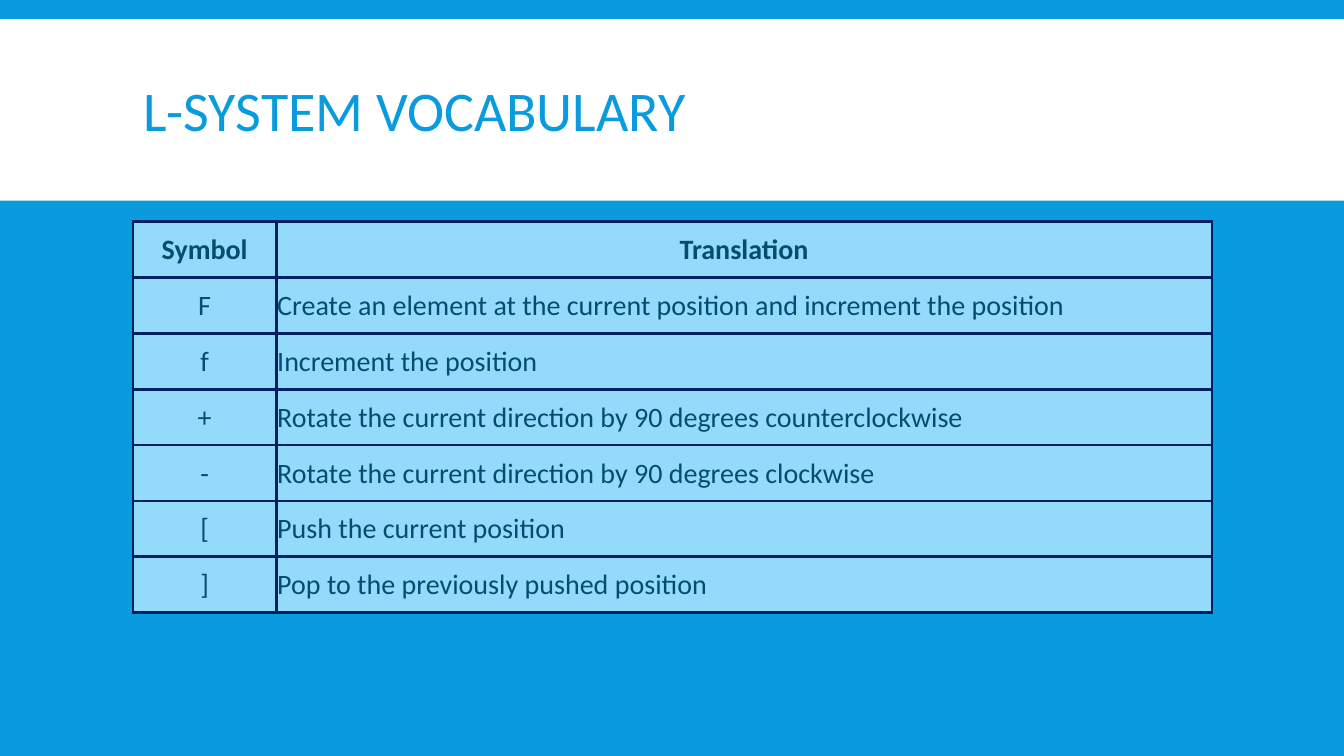
import dataclasses

import lxml.etree
import pptx
import pptx.dml.color
import pptx.enum.shapes
import pptx.enum.text
import pptx.oxml.ns
import pptx.util

# Content
TITLE = "L-SYSTEM VOCABULARY"
VOCABULARY = [
    ("Symbol", "Translation"),
    ("F", "Create an element at the current position and increment the position"),
    ("f", "Increment the position"),
    ("+", "Rotate the current direction by 90 degrees counterclockwise"),
    ("-", "Rotate the current direction by 90 degrees clockwise"),
    ("[", "Push the current position"),
    ("]", "Pop to the previously pushed position"),
]


@dataclasses.dataclass(frozen=True)
class Theme:
    font: str = "Calibri"
    accent: str = "099BDD"
    band: str = "FFFFFF"
    cell: str = "93DAFB"
    ink: str = "044D6E"
    border: str = "002060"
    title_size: float = 40
    table_size: float = 20
    border_width: float = 2.25


THEME = Theme()
Inches = pptx.util.Inches
Align = pptx.enum.text.PP_ALIGN
Anchor = pptx.enum.text.MSO_ANCHOR

# Layout in inches
WIDTH, HEIGHT = 13.33, 7.5
LEFT, CONTENT_WIDTH = 1.32, 10.7
BAND_TOP, BAND_HEIGHT = 0.19, 1.8
TITLE_TOP, TITLE_HEIGHT = 0.31, 1.65
TABLE_TOP, TABLE_HEIGHT = 2.2, 3.88
SYMBOL_WIDTH = 1.42
COLUMNS = (SYMBOL_WIDTH, CONTENT_WIDTH - SYMBOL_WIDTH)
CELL_INSET = 0.01


def paint(fill, color):
    fill.solid()
    fill.fore_color.rgb = pptx.dml.color.RGBColor.from_string(color)


def write(para, text, size, color, bold=False):
    span = para.add_run()
    span.text = text
    span.font.name = THEME.font
    span.font.size = pptx.util.Pt(size)
    span.font.bold = bold
    span.font.color.rgb = pptx.dml.color.RGBColor.from_string(color)


def add_borders(cell):
    qn = pptx.oxml.ns.qn
    properties = cell._tc.get_or_add_tcPr()
    for side in ("lnL", "lnR", "lnT", "lnB"):
        line = lxml.etree.SubElement(properties, qn(f"a:{side}"))
        line.set("w", str(pptx.util.Pt(THEME.border_width)))
        solid = lxml.etree.SubElement(line, qn("a:solidFill"))
        lxml.etree.SubElement(solid, qn("a:srgbClr")).set("val", THEME.border)


def add_title(page):
    box = page.shapes.title
    box.left, box.top = Inches(LEFT), Inches(TITLE_TOP)
    box.width, box.height = Inches(CONTENT_WIDTH), Inches(TITLE_HEIGHT)
    frame = box.text_frame
    frame.word_wrap = True
    frame.vertical_anchor = Anchor.MIDDLE
    para = frame.paragraphs[0]
    para.alignment = Align.LEFT
    para.line_spacing = 0.85
    write(para, TITLE, THEME.title_size, THEME.accent)


def add_band(page):
    band = page.shapes.add_shape(
        pptx.enum.shapes.MSO_SHAPE.RECTANGLE,
        0, Inches(BAND_TOP), Inches(WIDTH), Inches(BAND_HEIGHT))
    band.shadow.inherit = False
    paint(band.fill, THEME.band)
    band.line.fill.background()
    # Keep the band behind the title
    page.shapes.title.element.addprevious(band.element)


def add_vocabulary(page):
    table = page.shapes.add_table(
        len(VOCABULARY), len(COLUMNS), Inches(LEFT), Inches(TABLE_TOP),
        Inches(CONTENT_WIDTH), Inches(TABLE_HEIGHT)).table
    table.horz_banding = False
    for column, width in zip(table.columns, COLUMNS):
        column.width = Inches(width)
    for row, entry in enumerate(VOCABULARY):
        for column, text in enumerate(entry):
            cell = table.cell(row, column)
            cell.margin_left = cell.margin_right = cell.margin_top = Inches(CELL_INSET)
            cell.margin_bottom = 0
            cell.vertical_anchor = Anchor.MIDDLE
            add_borders(cell)
            paint(cell.fill, THEME.cell)
            header = row == 0
            para = cell.text_frame.paragraphs[0]
            para.alignment = Align.CENTER if header or column == 0 else Align.LEFT
            write(para, text, THEME.table_size, THEME.ink, header)


def main():
    deck = pptx.Presentation()
    deck.slide_width, deck.slide_height = Inches(WIDTH), Inches(HEIGHT)
    page = deck.slides.add_slide(deck.slide_layouts.get_by_name("Title Only"))
    paint(page.background.fill, THEME.accent)
    add_title(page)
    add_band(page)
    add_vocabulary(page)
    deck.save("out.pptx")


if __name__ == "__main__":
    main()
